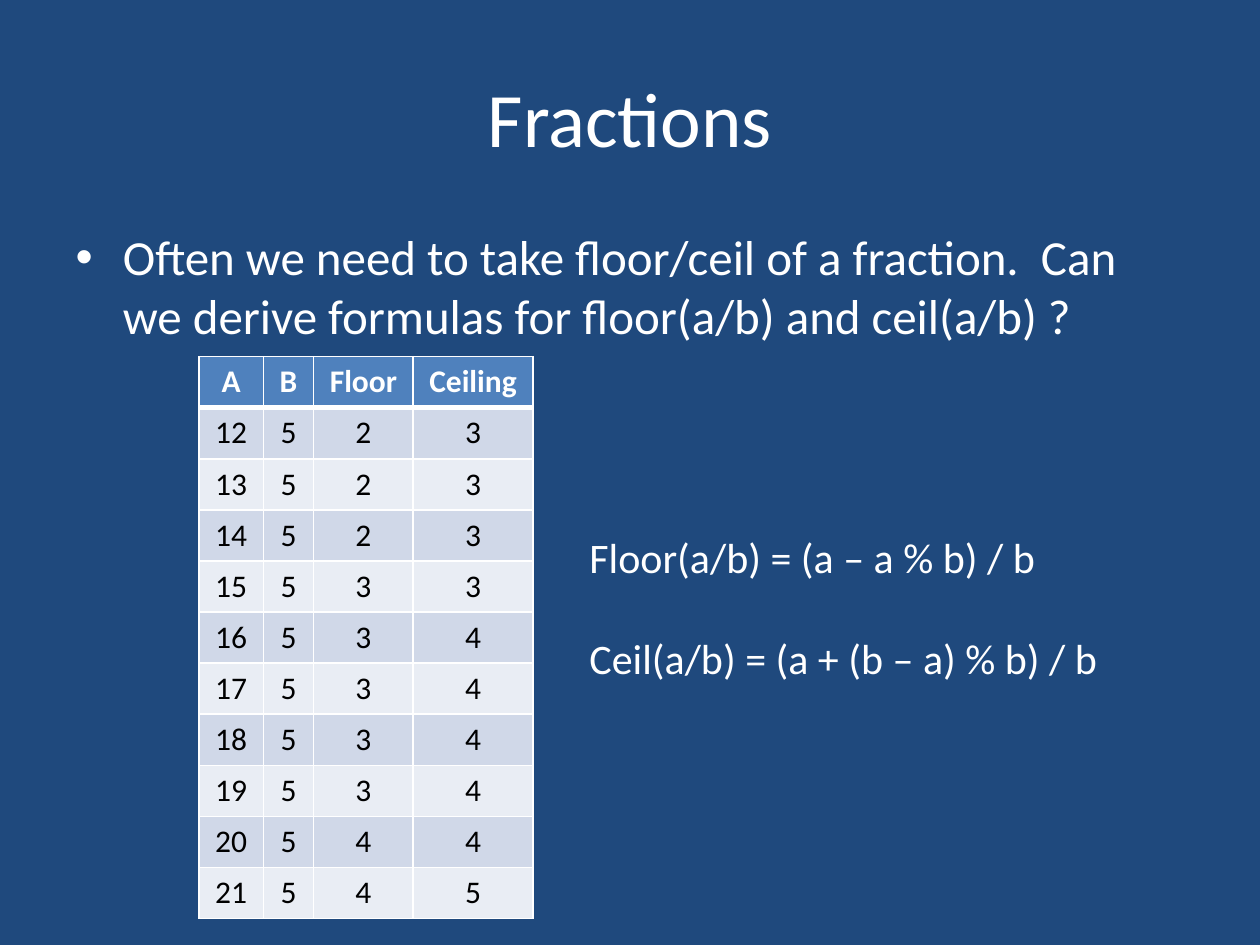
from dataclasses import dataclass
from lxml import etree
from pptx import Presentation
from pptx.dml.color import RGBColor
from pptx.enum.text import MSO_ANCHOR, MSO_AUTO_SIZE, PP_ALIGN
from pptx.oxml.ns import qn
from pptx.util import Inches, Pt

CENTER, LEFT = PP_ALIGN.CENTER, PP_ALIGN.LEFT
MIDDLE, TOP = MSO_ANCHOR.MIDDLE, MSO_ANCHOR.TOP
NO_FIT, GROW = MSO_AUTO_SIZE.NONE, MSO_AUTO_SIZE.SHAPE_TO_FIT_TEXT


@dataclass(frozen=True)
class Theme:
    font: str = "Calibri"
    background: str = "1F497D"
    light: str = "FFFFFF"
    dark: str = "000000"
    header: str = "4F81BD"
    bands: tuple = ("D0D8E8", "E9EDF4")
    title: int = 44
    body: int = 28
    formula: int = 24
    cell: int = 18
    rule: int = 1
    header_rule: int = 3


def apply(target, values):
    for name, value in values.items():
        setattr(target, name, value)


class SlideBuilder:
    def __init__(self, prs, theme):
        self.theme = theme
        self.s = prs.slides.add_slide(prs.slide_layouts[1])
        self.fill(self.s.background, theme.background)

    def fill(self, target, color):
        target.fill.solid()
        target.fill.fore_color.rgb = RGBColor.from_string(color)

    def add_run(self, p, text, size, color, bold=False, **paragraph):
        apply(p, paragraph)
        r = p.add_run()
        r.text = text
        apply(r.font, {"name": self.theme.font, "size": Pt(size), "bold": bold})
        r.font.color.rgb = RGBColor.from_string(color)

    def placeholder(self, index, text, box, size, align, anchor):
        sp = self.s.placeholders[index]
        apply(sp, dict(zip(("left", "top", "width", "height"), map(Inches, box))))
        tf = sp.text_frame
        apply(tf, {"word_wrap": True, "auto_size": NO_FIT, "vertical_anchor": anchor})
        self.add_run(tf.paragraphs[0], text, size, self.theme.light, alignment=align)

    def text(self, lines, box, size, gap):
        tf = self.s.shapes.add_textbox(*map(Inches, box)).text_frame
        apply(tf, {"word_wrap": True, "auto_size": GROW})
        for i, line in enumerate(lines):
            p = tf.add_paragraph() if i else tf.paragraphs[0]
            self.add_run(p, line, size, self.theme.light, space_before=Pt(gap if i else 0))

    def borders(self, cell, widths):
        tc_pr = cell._tc.get_or_add_tcPr()
        for i, (side, width) in enumerate(widths.items()):
            ln = etree.Element(qn(f"a:ln{side}"), w=str(Pt(width)))
            fill = etree.SubElement(ln, qn("a:solidFill"))
            etree.SubElement(fill, qn("a:srgbClr"), val=self.theme.light)
            tc_pr.insert(i, ln)

    def table(self, rows, left, top, col_widths, row_height):
        t = self.theme
        table = self.s.shapes.add_table(
            len(rows), len(col_widths), Inches(left), Inches(top),
            Inches(sum(col_widths)), Inches(row_height * len(rows))).table
        for col, width in zip(table.columns, col_widths):
            col.width = Inches(width)
        for i, values in enumerate(rows):
            head = i == 0
            color = t.light if head else t.dark
            fill = t.header if head else t.bands[(i - 1) % 2]
            widths = {"L": t.rule, "R": t.rule,
                      "T": t.header_rule if i == 1 else t.rule,
                      "B": t.header_rule if head else t.rule}
            for j, value in enumerate(values):
                cell = table.cell(i, j)
                self.fill(cell, fill)
                self.borders(cell, widths)
                self.add_run(cell.text_frame.paragraphs[0], str(value), t.cell, color,
                             bold=head, alignment=CENTER)


theme = Theme()
prs = Presentation()
apply(prs, {"slide_width": Inches(10), "slide_height": Inches(7.5)})
slide = SlideBuilder(prs, theme)

slide.placeholder(0, "Fractions", (0.5, 0.3, 9, 1.25), theme.title, CENTER, MIDDLE)
slide.placeholder(
    1, "Often we need to take floor/ceil of a fraction.  Can we derive formulas "
    "for floor(a/b) and ceil(a/b) ?", (0.5, 1.75, 9, 4.95), theme.body, LEFT, TOP)

b = 5
rows = [("A", "B", "Floor", "Ceiling")]
rows += [(a, b, a // b, -(-a // b)) for a in range(12, 22)]
slide.table(rows, 1.58, 2.83, (0.51, 0.4, 0.79, 0.95), 4.46 / len(rows))

slide.text(("Floor(a/b) = (a – a % b) / b", "Ceil(a/b) = (a + (b – a) % b) / b"),
           (4.58, 4.17, 4.33, 1.31), theme.formula, 29)

prs.save("out.pptx")
